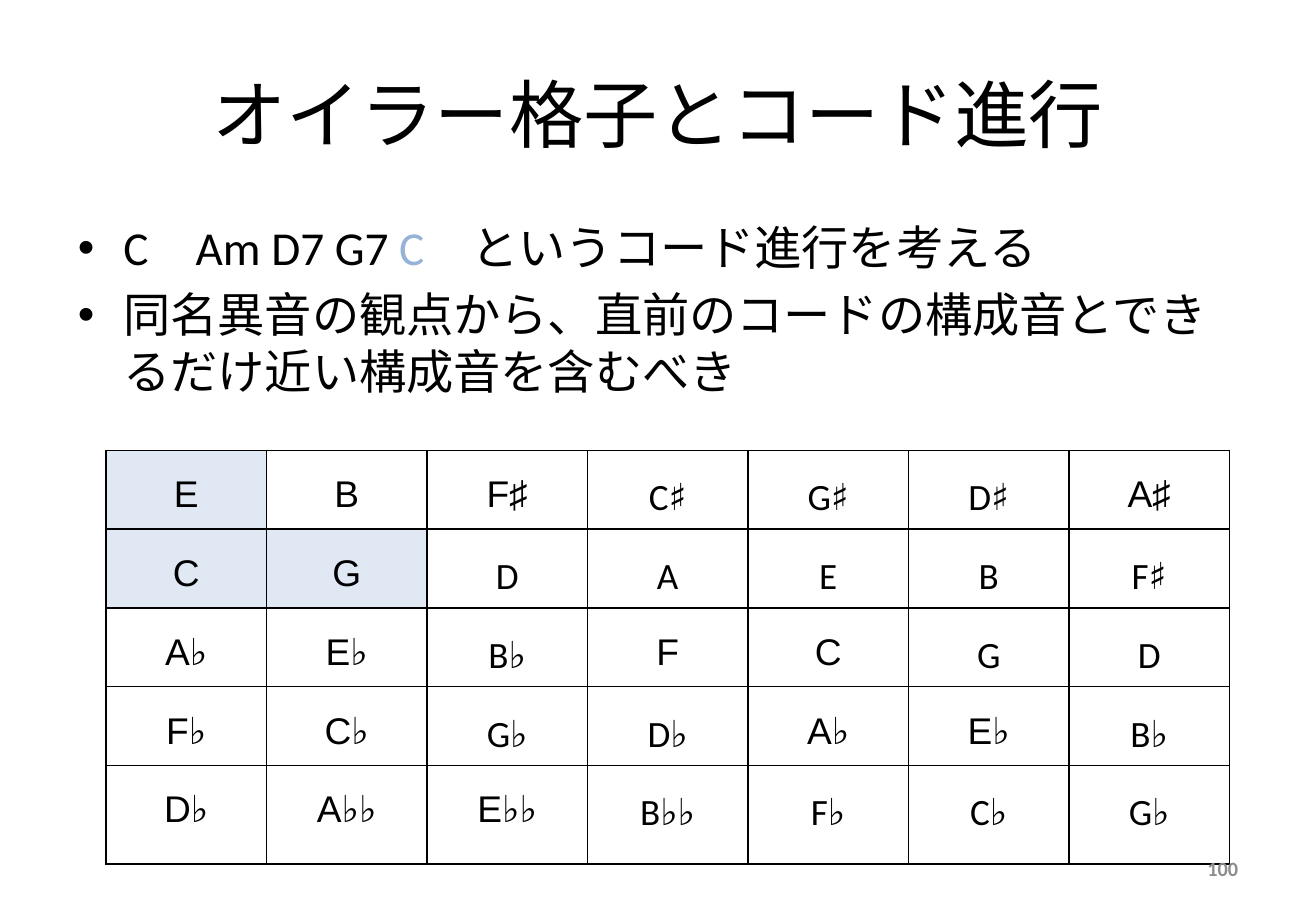
import dataclasses
import typing

import lxml.etree
import pptx
import pptx.dml.color
import pptx.enum.text
import pptx.oxml
import pptx.oxml.ns
import pptx.util

Pt = pptx.util.Pt
Align = pptx.enum.text.PP_ALIGN
Anchor = pptx.enum.text.MSO_ANCHOR
BLACK = "000000"
NOTE_SIZE = 22


@dataclasses.dataclass(frozen=True)
class Span:
    text: str
    size: float
    color: str = BLACK
    font: str = "Calibri"
    bold: bool = False


@dataclasses.dataclass(frozen=True)
class TextBox:
    left: float
    top: float
    width: float
    height: float
    paras: tuple[tuple[Span, ...], ...]
    align: Align = Align.LEFT
    anchor: Anchor = Anchor.TOP
    bulleted: bool = False


@dataclasses.dataclass(frozen=True)
class LatticeRow:
    notes: str
    height: float
    calibri_columns: tuple[int, ...]
    chord_columns: tuple[int, ...] = ()


TEXT_BOXES = (
    TextBox(39, 21.6, 702, 90, ((Span("オイラー格子とコード進行", 44),),),
            Align.CENTER, Anchor.MIDDLE),
    TextBox(39, 126, 702, 356.4, (
        (Span("C　Am D7 G7 ", 28), Span("C　", 28, "95B3D7"),
         Span("というコード進行を考える", 28)),
        (Span("同名異音の観点から、直前のコードの構成音とできるだけ近い構成音を含むべき", 28),),
    ), bulleted=True),
    TextBox(558.7, 500.4, 182.2, 28.8, ((Span("100", 12, "8C8C8C", bold=True),),),
            Align.RIGHT, Anchor.MIDDLE),
)

LATTICE = (
    LatticeRow("E B F♯ C♯ G♯ D♯ A♯", 46.7, (3, 4, 5), (0,)),
    LatticeRow("C G D A E B F♯", 46.7, (2, 3, 4, 5, 6), (0, 1)),
    LatticeRow("A♭ E♭ B♭ F C G D", 46.7, (2, 5, 6)),
    LatticeRow("F♭ C♭ G♭ D♭ A♭ E♭ B♭", 46.7, (2, 3, 6)),
    LatticeRow("D♭ A♭♭ E♭♭ B♭♭ F♭ C♭ G♭", 58.4, (3, 4, 5, 6)),
)
LATTICE_LEFT, LATTICE_TOP, LATTICE_WIDTH = 62.8, 267, 666


def set_all(target: typing.Any, values: dict[str, typing.Any]) -> None:
    for name, value in values.items():
        setattr(target, name, value)


def rgb(color: str) -> pptx.dml.color.RGBColor:
    return pptx.dml.color.RGBColor.from_string(color)


def add_span(para: typing.Any, span: Span) -> None:
    run = para.add_run()
    run.text = span.text
    set_all(run.font, {"name": span.font, "size": Pt(span.size), "bold": span.bold})
    run.font.color.rgb = rgb(span.color)


def add_bullet(para: typing.Any) -> None:
    properties = para._p.get_or_add_pPr()
    properties.set("marL", str(Pt(27)))
    properties.set("indent", str(Pt(-27)))
    for tag, name, value in (("a:buFont", "typeface", "Arial"), ("a:buChar", "char", "•")):
        lxml.etree.SubElement(properties, pptx.oxml.ns.qn(tag)).set(name, value)


def add_text_box(page: typing.Any, box: TextBox) -> None:
    shape = page.shapes.add_textbox(*map(Pt, (box.left, box.top, box.width, box.height)))
    frame = shape.text_frame
    set_all(frame, {"word_wrap": True, "vertical_anchor": box.anchor})
    for index, spans in enumerate(box.paras):
        para = frame.add_paragraph() if index else frame.paragraphs[0]
        para.alignment = box.align
        if box.bulleted:
            add_bullet(para)
        if index:
            para.space_before = Pt(6)
        for span in spans:
            add_span(para, span)


def add_borders(cell: typing.Any) -> None:
    properties = cell._tc.get_or_add_tcPr()
    namespace = pptx.oxml.ns.nsdecls("a")
    for index, side in enumerate(("lnL", "lnR", "lnT", "lnB")):
        properties.insert(index, pptx.oxml.parse_xml(
            f'<a:{side} {namespace} w="{Pt(1)}"><a:solidFill>'
            f'<a:srgbClr val="{BLACK}"/></a:solidFill></a:{side}>'))


def fill_cell(cell: typing.Any, in_chord: bool) -> None:
    """Tint the cells of the current chord and leave the others clear."""
    if not in_chord:
        cell.fill.background()
        return
    cell.fill.solid()
    cell.fill.fore_color.rgb = rgb("B9CDE5")
    tint = cell._tc.tcPr.find(".//" + pptx.oxml.ns.qn("a:srgbClr"))
    lxml.etree.SubElement(tint, pptx.oxml.ns.qn("a:alpha")).set("val", "45000")


def add_lattice(page: typing.Any) -> None:
    column_count = len(LATTICE[0].notes.split())
    height = sum(row.height for row in LATTICE)
    table = page.shapes.add_table(
        len(LATTICE), column_count,
        *map(Pt, (LATTICE_LEFT, LATTICE_TOP, LATTICE_WIDTH, height))).table
    set_all(table, {"first_row": False, "horz_banding": False})
    for column in table.columns:
        column.width = Pt(LATTICE_WIDTH / column_count)
    for row_index, row in enumerate(LATTICE):
        table.rows[row_index].height = Pt(row.height)
        for column_index, note in enumerate(row.notes.split()):
            cell = table.cell(row_index, column_index)
            set_all(cell, {"margin_left": Pt(9.4), "margin_right": Pt(9.4),
                           "margin_top": Pt(4.3), "margin_bottom": Pt(4.3)})
            fill_cell(cell, column_index in row.chord_columns)
            add_borders(cell)
            para = cell.text_frame.paragraphs[0]
            set_all(para, {"alignment": Align.CENTER, "line_spacing": 1.4})
            font = "Calibri" if column_index in row.calibri_columns else "Arial"
            add_span(para, Span(note, NOTE_SIZE, font=font))


def main() -> None:
    deck = pptx.Presentation()
    set_all(deck, {"slide_width": Pt(780), "slide_height": Pt(540)})
    page = deck.slides.add_slide(deck.slide_layouts[6])
    title, body, page_number = TEXT_BOXES
    add_text_box(page, title)
    add_text_box(page, body)
    add_lattice(page)
    add_text_box(page, page_number)
    deck.save("out.pptx")


if __name__ == "__main__":
    main()
